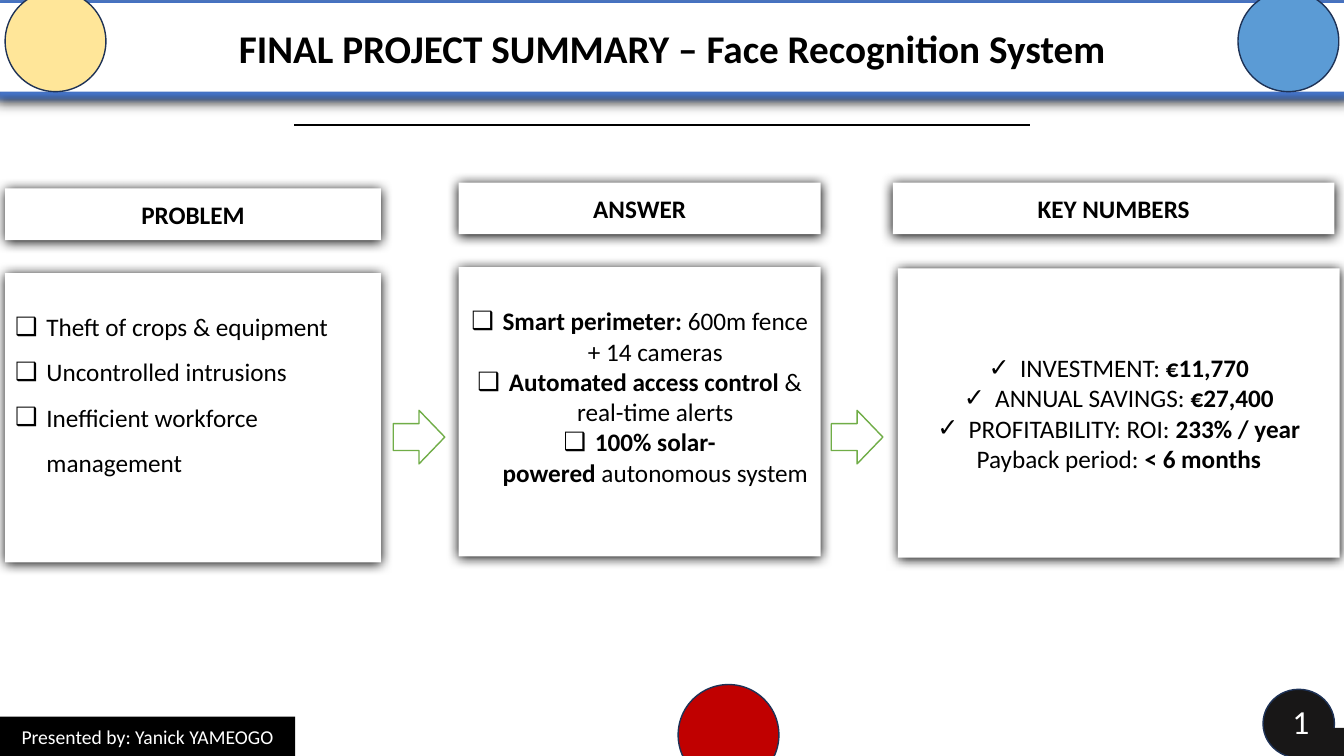
from dataclasses import dataclass

import lxml.etree
import pptx
import pptx.dml.color
import pptx.enum.shapes
import pptx.enum.text
import pptx.oxml
import pptx.oxml.ns
import pptx.util
from pptx.util import Cm, Pt

SHAPE = pptx.enum.shapes.MSO_SHAPE
ALIGN = pptx.enum.text.PP_ALIGN
ANCHOR = pptx.enum.text.MSO_ANCHOR
qn = pptx.oxml.ns.qn


@dataclass(frozen=True)
class Theme:
    font: str = "Calibri"
    title: int = 28
    number: int = 24
    body: int = 18
    footer: int = 14
    black: str = "000000"
    white: str = "FFFFFF"
    outline: str = "1E3256"
    glow: str = "4472C4"
    arrow: str = "70AD47"
    yellow: str = "FFE699"
    blue: str = "5B9BD5"
    red: str = "C00000"
    badge: str = "181717"


THEME = Theme()

# Each list line is (bullet, spans); each span is (text, bold).
PROBLEM = [
    ("❑", [("Theft of crops & equipment", False)]),
    ("❑", [("Uncontrolled intrusions", False)]),
    ("❑", [("Inefficient workforce management", False)]),
]
ANSWER = [
    ("❑", [("Smart perimeter:", True), ("\u00a0600m fence +\u00a014 cameras", False)]),
    ("❑", [("Automated access control", True), ("\u00a0& real-time alerts", False)]),
    ("❑", [("100% solar-powered\u00a0", True), ("autonomous system", False)]),
]
KEY_NUMBERS = [
    ("✓", [("INVESTMENT: ", False), ("€11,770", True)]),
    ("✓", [("ANNUAL SAVINGS: ", False), ("€27,400", True)]),
    ("✓", [("PROFITABILITY: ROI:", False), (" 233% / year", True)]),
    (None, [("Payback period: ", False), ("< 6 months", True)]),
]


def rgb(color):
    return pptx.dml.color.RGBColor.from_string(color)


def place(item, box):
    item.left, item.top, item.width, item.height = (Cm(length) for length in box)


def paint(item, fill, line=None):
    item.fill.solid()
    item.fill.fore_color.rgb = rgb(fill)
    if line:
        item.line.color.rgb = rgb(line)
        item.line.width = Pt(1)
    else:
        item.line.fill.background()


def add_effects(item, glow=None):
    """Give a panel its soft black shadow and, if asked, a coloured glow."""
    properties = item.element.spPr
    for old in properties.findall(qn("a:effectLst")):
        properties.remove(old)
    effects = lxml.etree.SubElement(properties, qn("a:effectLst"))
    if glow:
        halo = lxml.etree.SubElement(effects, qn("a:glow"), rad=str(Pt(8)))
        lxml.etree.SubElement(halo, qn("a:srgbClr"), val=glow)
    shadow = lxml.etree.SubElement(
        effects, qn("a:outerShdw"), blurRad=str(Pt(8.5)), dist=str(Pt(1)),
        dir="5400000", algn="t", rotWithShape="0")
    lxml.etree.SubElement(shadow, qn("a:srgbClr"), val=THEME.black)


def style(para, size, color=THEME.black, bold=False, align=ALIGN.CENTER):
    para.alignment = align
    para.font.name = THEME.font
    para.font.size = Pt(size)
    para.font.bold = bold
    para.font.color.rgb = rgb(color)


def add_shape(page, kind, box, fill, line=None):
    item = page.shapes.add_shape(kind, *(Cm(length) for length in box))
    item.shadow.inherit = False
    paint(item, fill, line)
    return item


def write_label(item, text, size, color=THEME.black, bold=False):
    frame = item.text_frame
    frame.word_wrap = True
    frame.auto_size = pptx.enum.text.MSO_AUTO_SIZE.NONE
    frame.vertical_anchor = ANCHOR.MIDDLE
    frame.text = text
    style(frame.paragraphs[0], size, color, bold)


def set_bullet(para, mark):
    properties = para._p.get_or_add_pPr()
    indent = Cm(0.79) if mark else 0
    properties.set("marL", str(indent))
    properties.set("indent", str(-indent))
    if mark:
        lxml.etree.SubElement(properties, qn("a:buChar"), char=mark)
    else:
        lxml.etree.SubElement(properties, qn("a:buNone"))


def fill_list(holder, box, lines, align, spacing, bottom):
    """Turn a body placeholder into a card; bottom is its lower text margin."""
    place(holder, box)
    paint(holder, THEME.white)
    add_effects(holder)
    frame = holder.text_frame
    frame.word_wrap = True
    frame.auto_size = pptx.enum.text.MSO_AUTO_SIZE.NONE
    frame.vertical_anchor = ANCHOR.MIDDLE
    frame.margin_left = frame.margin_right = Cm(0.25)
    frame.margin_top, frame.margin_bottom = Cm(0.13), Cm(bottom)
    for index, (mark, spans) in enumerate(lines):
        para = frame.add_paragraph() if index else frame.paragraphs[0]
        set_bullet(para, mark)
        para.line_spacing = spacing
        para.space_before = Pt(0)
        style(para, THEME.body, align=align)
        for text, bold in spans:
            span = para.add_run()
            span.text = text
            span.font.bold = bold


def build_column(page, holder, heading, box, lines, shift=0, body_top=2.13,
                 align=ALIGN.CENTER, spacing=1.0, bottom=0.13):
    """Place a heading over its list; shift moves the list to the right."""
    left, top, width, height = box
    header = add_shape(page, SHAPE.RECTANGLE, (left, top, width, 1.3), THEME.white)
    add_effects(header)
    write_label(header, heading, THEME.body, bold=True)
    card = (left + shift, top + body_top, width, height - body_top)
    fill_list(holder, card, lines, align, spacing, bottom)


def build_banner(page, box):
    left, top, width, height = box
    title = page.shapes.title
    place(title, box)
    paint(title, THEME.white)
    add_effects(title, THEME.glow)
    write_label(title, "FINAL PROJECT SUMMARY – Face Recognition System",
                THEME.title, bold=True)
    size, edge = 2.54, 0.13
    for x, color in ((left + edge, THEME.yellow),
                     (left + width - edge - size, THEME.blue)):
        add_shape(page, SHAPE.OVAL, (x, top + height - size, size, size),
                  color, THEME.outline)
    rule_y = Cm(top + height + 0.84)
    rule = page.shapes.add_connector(
        pptx.enum.shapes.MSO_CONNECTOR.STRAIGHT,
        Cm(left + 7.42), rule_y, Cm(left + 25.96), rule_y)
    rule.line.color.rgb = rgb(THEME.black)
    rule.line.width = Pt(1.5)
    lxml.etree.SubElement(rule.element.spPr, qn("a:effectLst"))


def build_footer(page, box):
    left, top, width, height = box
    add_shape(page, SHAPE.OVAL, (left + 17.09, top, 2.54, 2.54),
              THEME.red, THEME.outline)
    presenter = add_shape(page, SHAPE.RECTANGLE,
                          (left, top + 0.81, 7.44, 1.02), THEME.black)
    write_label(presenter, "Presented by: Yanick YAMEOGO", THEME.footer, THEME.white)
    right = left + width
    add_shape(page, SHAPE.OVAL, (right - 2.04, top + 0.12, 1.8, 1.73),
              THEME.badge, THEME.outline)
    add_shape(page, SHAPE.ROUNDED_RECTANGLE, (right - 1.03, top + 1.09, 2.54, 0.74),
              THEME.badge)
    number = page.shapes.add_textbox(
        Cm(right - 1.56), Cm(top + 0.56), Cm(0.69), Cm(0.71))
    write_label(number, "1", THEME.number, THEME.white)
    number.text_frame.paragraphs[0].alignment = ALIGN.RIGHT
    number.text_frame.margin_left = number.text_frame.margin_right = 0
    number.text_frame.margin_top = number.text_frame.margin_bottom = 0


def build_summary(deck):
    page = deck.slides.add_slide(deck.slide_layouts.get_by_name("Comparison"))
    holders = {holder.placeholder_format.idx: holder for holder in page.placeholders}
    spare = holders[3].element
    spare.getparent().remove(spare)
    build_banner(page, (0, 0.08, 33.87, 2.23))
    build_column(page, holders[1], "PROBLEM", (0.13, 4.75, 9.47, 9.42), PROBLEM,
                 align=ALIGN.LEFT, spacing=1.5, bottom=1.68)
    build_column(page, holders[2], "ANSWER", (11.56, 4.6, 9.12, 9.42), ANSWER,
                 bottom=0.9)
    build_column(page, holders[4], "KEY NUMBERS", (22.5, 4.6, 11.13, 9.45),
                 KEY_NUMBERS, shift=0.13, body_top=2.16)
    for left in (9.91, 20.95):
        add_shape(page, SHAPE.RIGHT_ARROW, (left, 10.34, 1.3, 1.35),
                  THEME.white, THEME.arrow)
    build_footer(page, (0, 17.25, 33.87, 1.8))


def main():
    deck = pptx.Presentation()
    deck.slide_width, deck.slide_height = Cm(33.87), Cm(19.05)
    build_summary(deck)
    deck.save("out.pptx")


if __name__ == "__main__":
    main()
